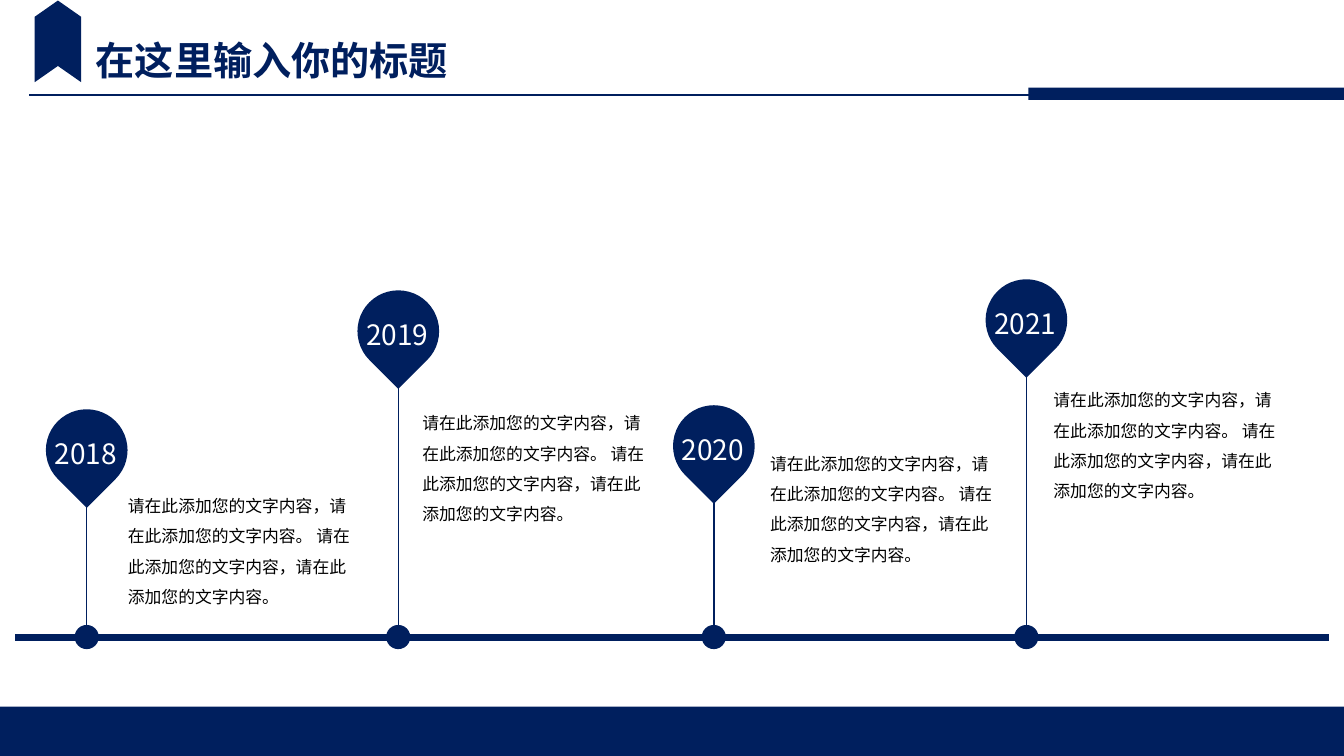
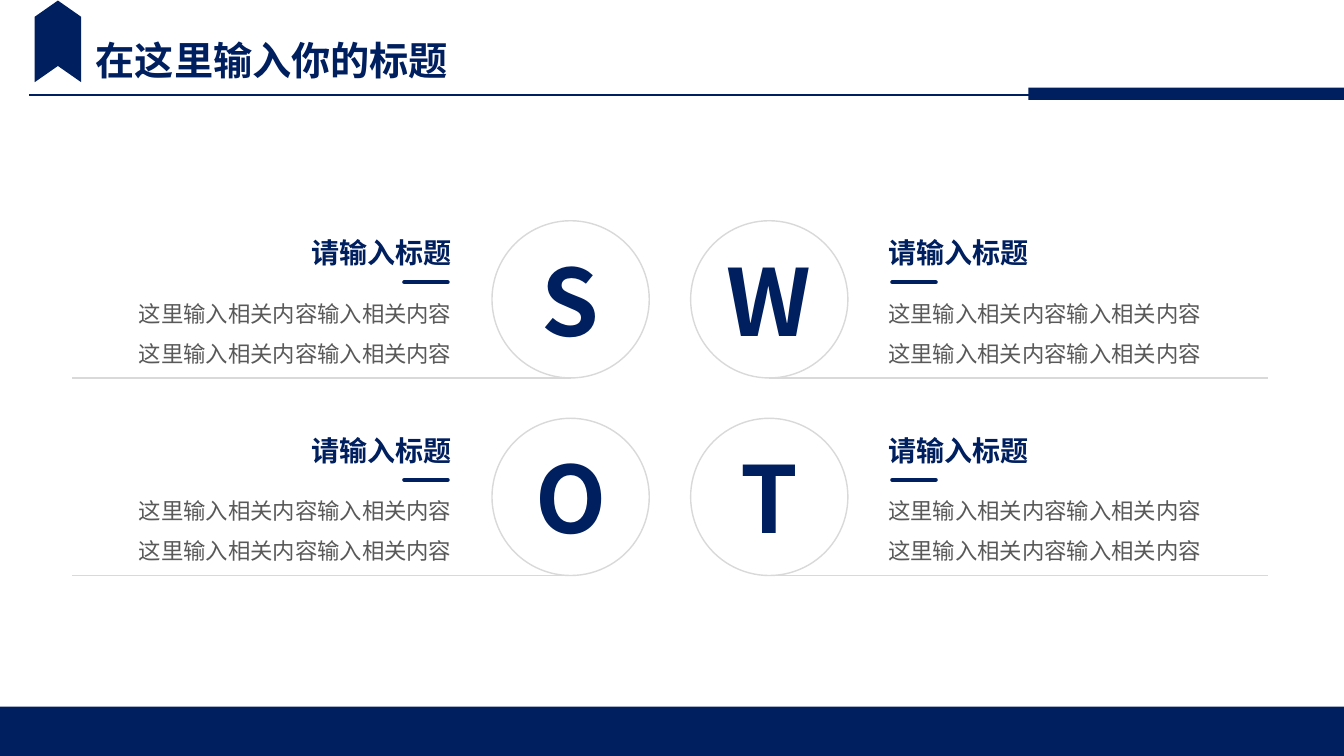
"""Build a timeline slide and a SWOT slide on one shared navy layout."""
import dataclasses

import pptx
import pptx.dml.color
import pptx.enum.shapes
import pptx.enum.text
import pptx.oxml.ns
import pptx.shapes.shapetree
import pptx.util

Inches = pptx.util.Inches
Shape = pptx.enum.shapes.MSO_SHAPE
Align = pptx.enum.text.PP_ALIGN
Anchor = pptx.enum.text.MSO_ANCHOR
AutoSize = pptx.enum.text.MSO_AUTO_SIZE


@dataclasses.dataclass(frozen=True)
class Theme:
    """Colours, font and type sizes of the deck."""
    navy: str = "001F5E"
    white: str = "FFFFFF"
    black: str = "000000"
    gray: str = "595959"
    rule: str = "D9D9D9"
    font: str = "Noto Sans CJK SC"
    title: int = 28
    heading: int = 20
    body: int = 16
    note: int = 12
    letter: int = 66


THEME = Theme()
TITLE = "在这里输入你的标题"
NOTE = "请在此添加您的文字内容，请在此添加您的文字内容。 请在此添加您的文字内容，请在此添加您的文字内容。"
HEADING = "请输入标题"
DETAIL = "这里输入相关内容输入相关内容" * 2

AXIS_Y = 6.32
EVENTS = [
    ("2018", 0.86, 4.06, 1.17, 4.77),
    ("2019", 3.95, 2.88, 4.09, 3.95),
    ("2020", 7.08, 4.02, 7.54, 4.35),
    ("2021", 10.18, 2.77, 10.35, 3.72),
]
DOT, PIN = 0.24, 0.81

SWOT = ["SW", "OT"]
SWOT_TOP, SWOT_PITCH = 2.19, 1.96
CIRCLE = 1.56
MIRROR_SPAN = 13.29


def rgb(color):
    """Turn a hex string into a colour."""
    return pptx.dml.color.RGBColor.from_string(color)


def box(left, top, width, height):
    """Convert a rectangle in inches."""
    return [Inches(v) for v in (left, top, width, height)]


def write(tf, text, size, color, bold=False, align=Align.LEFT, spacing=None):
    """Put one formatted paragraph into a text frame."""
    p = tf.paragraphs[0]
    p.text = text
    p.alignment = align
    if spacing:
        p.line_spacing = spacing
    p.font.size = pptx.util.Pt(size)
    p.font.bold = bold
    p.font.color.rgb = rgb(color)
    p.font.name = THEME.font
    latin = p._p.pPr.find(".//" + pptx.oxml.ns.qn("a:latin"))
    ea = latin.makeelement(pptx.oxml.ns.qn("a:ea"), {"typeface": THEME.font})
    latin.addnext(ea)


def add_text(shapes, rect, text, size, color, wrap=True, inset=None, **style):
    """Add a text box."""
    tf = shapes.add_textbox(*box(*rect)).text_frame
    tf.word_wrap = wrap
    tf.auto_size = AutoSize.SHAPE_TO_FIT_TEXT
    if inset is not None:
        tf.margin_left = tf.margin_right = Inches(inset)
        tf.margin_top = tf.margin_bottom = Inches(inset)
    write(tf, text, size, color, **style)


def add_shape(shapes, kind, rect, fill=THEME.navy, line=None, rotation=0):
    """Add a flat preset shape."""
    sp = shapes.add_shape(kind, *box(*rect))
    sp.shadow.inherit = False
    sp.rotation = rotation
    sp.fill.solid()
    sp.fill.fore_color.rgb = rgb(fill)
    if line:
        sp.line.color.rgb = rgb(line)
        sp.line.width = pptx.util.Pt(1)
    else:
        sp.line.fill.background()
    return sp


def add_line(shapes, x1, y1, x2, y2, width, color=THEME.navy, rounded=False):
    """Add a straight line."""
    c = shapes.add_connector(pptx.enum.shapes.MSO_CONNECTOR.STRAIGHT,
                             *box(x1, y1, x2, y2))
    c.line.color.rgb = rgb(color)
    c.line.width = pptx.util.Pt(width)
    if rounded:
        c.line._get_or_add_ln().set("cap", "rnd")
    spPr = c._element.spPr
    spPr.append(spPr.makeelement(pptx.oxml.ns.qn("a:effectLst"), {}))


def decorate_layout(layout):
    """Draw the shared bands, rule and ribbon on the layout."""
    shapes = pptx.shapes.shapetree.SlideShapes(layout.shapes.element, layout)
    add_shape(shapes, Shape.RECTANGLE, (0, 7.01, 13.33, 0.49))
    add_line(shapes, 0.29, 0.94, 11.52, 0.94, 1.5)
    add_shape(shapes, Shape.RECTANGLE, (10.2, 0.87, 3.13, 0.12))
    ribbon = add_shape(shapes, Shape.CHEVRON, (0.17, 0.18, 0.81, 0.46), rotation=270)
    ribbon.adjustments[0] = 0.35


def add_slide(prs, layout, title):
    """Add a slide with its title in place."""
    s = prs.slides.add_slide(layout)
    sp = s.shapes.title
    sp.left, sp.top, sp.width, sp.height = box(0.85, 0.31, 3.74, 0.57)
    tf = sp.text_frame
    tf.word_wrap = False
    tf.auto_size = AutoSize.SHAPE_TO_FIT_TEXT
    tf.vertical_anchor = Anchor.TOP
    write(tf, title, THEME.title, THEME.navy, bold=True)
    return s


def add_marker(shapes, year, x, top):
    """Add a grouped dot, stem and pin for one year."""
    group = shapes.add_group_shape().shapes
    add_shape(group, Shape.OVAL, (x - DOT / 2, AXIS_Y - DOT / 2, DOT, DOT))
    add_line(group, x, AXIS_Y - DOT / 2, x, top + PIN, 1)
    add_shape(group, Shape.TEAR, (x - PIN / 2, top, PIN, PIN), rotation=135)
    add_text(group, (x - 0.43, top + 0.22, 0.84, 0.44), year, THEME.heading,
             THEME.white, wrap=False, align=Align.CENTER)


def add_timeline(s):
    """Draw the axis with its years and notes."""
    add_line(s.shapes, 0.15, AXIS_Y, 13.18, AXIS_Y, 5)
    for year, x, top, note_x, note_y in EVENTS:
        add_marker(s.shapes, year, x, top)
        add_text(s.shapes, (note_x, note_y, 2.45, 1.28), NOTE, THEME.note,
                 THEME.black, spacing=1.5)


def add_quadrant(shapes, letter, top, mirrored):
    """Draw one SWOT quadrant, mirrored on the left half."""
    def place(left, width):
        return MIRROR_SPAN - left - width if mirrored else left

    align = Align.RIGHT if mirrored else Align.LEFT
    circle = add_shape(shapes, Shape.OVAL, (place(6.85, CIRCLE), top, CIRCLE, CIRCLE),
                       THEME.white, THEME.rule)
    circle.text_frame.vertical_anchor = Anchor.MIDDLE
    write(circle.text_frame, letter, THEME.letter, THEME.navy, bold=True,
          align=Align.CENTER)
    base = top + CIRCLE
    add_line(shapes, place(7.63, 0), base, place(12.58, 0), base, 1, THEME.rule)
    add_text(shapes, (place(8.81, 1.56), top + 0.15, 1.56, 0.34), HEADING,
             THEME.heading, THEME.navy, inset=0, bold=True, align=align)
    add_text(shapes, (place(8.81, 3.13), top + 0.65, 3.13, 0.76), DETAIL,
             THEME.body, THEME.gray, inset=0, align=align, spacing=1.5)
    accent = top + 0.61
    add_line(shapes, place(8.85, 0), accent, place(9.28, 0), accent, 3, rounded=True)


def add_swot(s):
    """Draw the two rows of quadrants."""
    for row, letters in enumerate(SWOT):
        for column, letter in enumerate(letters):
            add_quadrant(s.shapes, letter, SWOT_TOP + row * SWOT_PITCH, column == 0)


def main():
    """Build and save the deck."""
    prs = pptx.Presentation()
    prs.slide_width, prs.slide_height = Inches(13.33), Inches(7.5)
    layout = prs.slide_layouts.get_by_name("Title Only")
    decorate_layout(layout)
    add_timeline(add_slide(prs, layout, TITLE))
    add_swot(add_slide(prs, layout, TITLE))
    prs.save("out.pptx")


if __name__ == "__main__":
    main()
